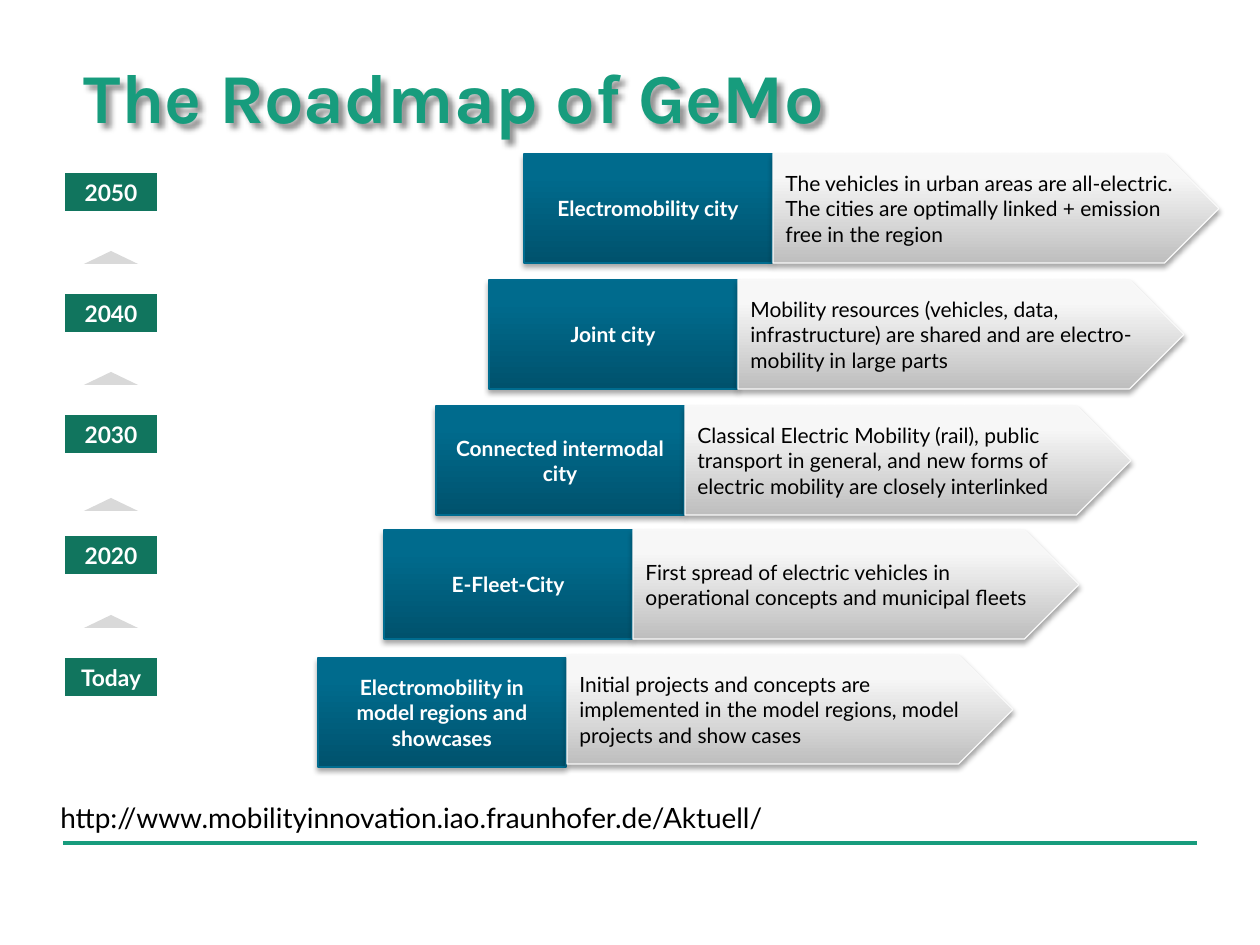
from dataclasses import dataclass
from typing import Optional

from lxml import etree
from pptx import Presentation
from pptx.dml.color import RGBColor
from pptx.enum.shapes import MSO_CONNECTOR, MSO_SHAPE
from pptx.enum.text import MSO_ANCHOR, PP_ALIGN
from pptx.oxml.ns import qn
from pptx.util import Emu, Pt

RECTANGLE = MSO_SHAPE.RECTANGLE
PENTAGON = MSO_SHAPE.PENTAGON
TRIANGLE = MSO_SHAPE.ISOSCELES_TRIANGLE
STRAIGHT = MSO_CONNECTOR.STRAIGHT
LEFT, CENTER = PP_ALIGN.LEFT, PP_ALIGN.CENTER
TOP, MIDDLE = MSO_ANCHOR.TOP, MSO_ANCHOR.MIDDLE

EMU_PER_PX = 914400 / 126
GREEN, DARK_GREEN = "179C7D", "11755E"
WHITE, BLACK, LIGHT_GRAY = "FFFFFF", "000000", "D9D9D9"
# Gradient stops from bottom to top: (percent, colour)
BLUE_GRADIENT = [(0, "00526D"), (80, "006B8D"), (100, "006B8E")]
GRAY_GRADIENT = [(0, "BEBEBE"), (80, "F7F7F7"), (100, "F8F8F8")]


@dataclass
class Stage:
    year: str
    name: str
    description: str
    left: int
    name_top: int
    arrow_top: int
    triangle_top: Optional[int]


STAGES = [
    Stage("2050", "Electromobility city",
          "The vehicles in urban areas are all-electric. The cities are "
          "optimally linked + emission free in the region", 524, 154, 154, 251),
    Stage("2040", "Joint city",
          "Mobility resources (vehicles, data, infrastructure) are shared and "
          "are electro-mobility in large parts", 489, 280, 280, 372),
    Stage("2030", "Connected intermodal city",
          "Classical Electric Mobility (rail), public transport in general, and "
          "new forms of electric mobility are closely interlinked", 436, 406, 406, 498),
    Stage("2020", "E-Fleet-City",
          "First spread of electric vehicles in operational concepts and "
          "municipal fleets", 384, 530, 530, 615),
    Stage("Today", "Electromobility in model regions and showcases",
          "Initial projects and concepts are implemented in the model regions, "
          "model projects and show cases", 318, 658, 655, None),
]


def px(value: int) -> Emu:
    return Emu(round(value * EMU_PER_PX))


def color(value: str) -> RGBColor:
    return RGBColor.from_string(value)


def write_text(shape, text: str, *, size: int, fill: str = BLACK, font: str = "Lato",
               bold: bool = False, align=LEFT, anchor=MIDDLE) -> None:
    frame = shape.text_frame
    frame.word_wrap = True
    frame.vertical_anchor = anchor
    paragraph = frame.paragraphs[0]
    paragraph.alignment = align
    run = paragraph.add_run()
    run.text = text
    run.font.name = font
    run.font.size = Pt(size)
    run.font.bold = bold
    run.font.color.rgb = color(fill)


def add_box(slide, kind, left: int, top: int, width: int, height: int):
    shape = slide.shapes.add_shape(kind, px(left), px(top), px(width), px(height))
    shape.shadow.inherit = False
    return shape


def add_color(parent, value: str):
    return etree.SubElement(parent, qn("a:srgbClr"), val=value)


def add_shadow(shape, blur: float, distance: float, angle: int, opacity: int) -> None:
    shape.shadow.inherit = False
    effects = shape._element.spPr.find(qn("a:effectLst"))
    shadow = etree.SubElement(
        effects, qn("a:outerShdw"), blurRad=str(Pt(blur)), dist=str(Pt(distance)),
        dir=str(angle * 60000), algn="ctr", rotWithShape="0")
    etree.SubElement(add_color(shadow, BLACK), qn("a:alpha"), val=str(opacity * 1000))


def add_gradient_box(slide, kind, left: int, top: int, width: int, height: int,
                     stops: list, line: str):
    shape = add_box(slide, kind, left, top, width, height)
    shape.fill.gradient()
    shape.fill.gradient_angle = 90
    stop_list = shape._element.spPr.find(".//" + qn("a:gsLst"))
    for old_stop in list(stop_list):
        stop_list.remove(old_stop)
    for percent, value in stops:
        add_color(etree.SubElement(stop_list, qn("a:gs"), pos=str(percent * 1000)), value)
    shape.line.color.rgb = color(line)
    shape.line.width = Pt(0.75)
    add_shadow(shape, 3.1, 1.8, 90, 35)
    return shape


def draw_year(slide, index: int, stage: Stage) -> None:
    label = add_box(slide, RECTANGLE, 63, 171 + index * 485 // 4, 96, 42)
    label.fill.solid()
    label.fill.fore_color.rgb = color(DARK_GREEN)
    label.line.color.rgb = color(WHITE)
    label.line.width = Pt(2)
    write_text(label, stage.year, size=13, fill=WHITE, bold=True, align=CENTER)
    if stage.triangle_top is not None:
        triangle = add_box(slide, TRIANGLE, 84, stage.triangle_top, 54, 13)
        triangle.fill.solid()
        triangle.fill.fore_color.rgb = color(LIGHT_GRAY)
        triangle.line.fill.background()


def draw_stage(slide, stage: Stage) -> None:
    name = add_gradient_box(slide, RECTANGLE, stage.left, stage.name_top, 248, 109,
                            BLUE_GRADIENT, "006C8F")
    write_text(name, stage.name, size=12, fill=WHITE, bold=True, align=CENTER)
    arrow = add_gradient_box(slide, PENTAGON, stage.left + 249, stage.arrow_top, 446, 109,
                             GRAY_GRADIENT, "F9F9F9")
    write_text(arrow, stage.description, size=12)


def main() -> None:
    presentation = Presentation()
    presentation.slide_width, presentation.slide_height = px(1260), px(945)
    slide = presentation.slides.add_slide(presentation.slide_layouts[6])

    # Footer rule
    rule = slide.shapes.add_connector(STRAIGHT, px(63), px(843), px(1197), px(843))
    rule.line.color.rgb = color(GREEN)
    rule.line.width = Pt(2.5)
    etree.SubElement(rule._element.spPr, qn("a:effectLst"))

    # Timeline and staircase of city stages
    for index, stage in enumerate(STAGES):
        draw_year(slide, index, stage)
        draw_stage(slide, stage)

    # Web address
    address = slide.shapes.add_textbox(px(48), px(794), px(897), px(47))
    write_text(address, "http://www.mobilityinnovation.iao.fraunhofer.de/Aktuell/",
               size=16, anchor=TOP)

    # Title
    title = slide.shapes.add_textbox(px(84), px(54), px(1133), px(126))
    frame = title.text_frame
    frame.margin_left = frame.margin_top = frame.margin_right = frame.margin_bottom = 0
    write_text(title, "The Roadmap of GeMo", size=40, fill=GREEN, font="Karla",
               bold=True, anchor=TOP)
    add_shadow(title, 3, 3, 45, 43)

    presentation.save("out.pptx")


if __name__ == "__main__":
    main()
